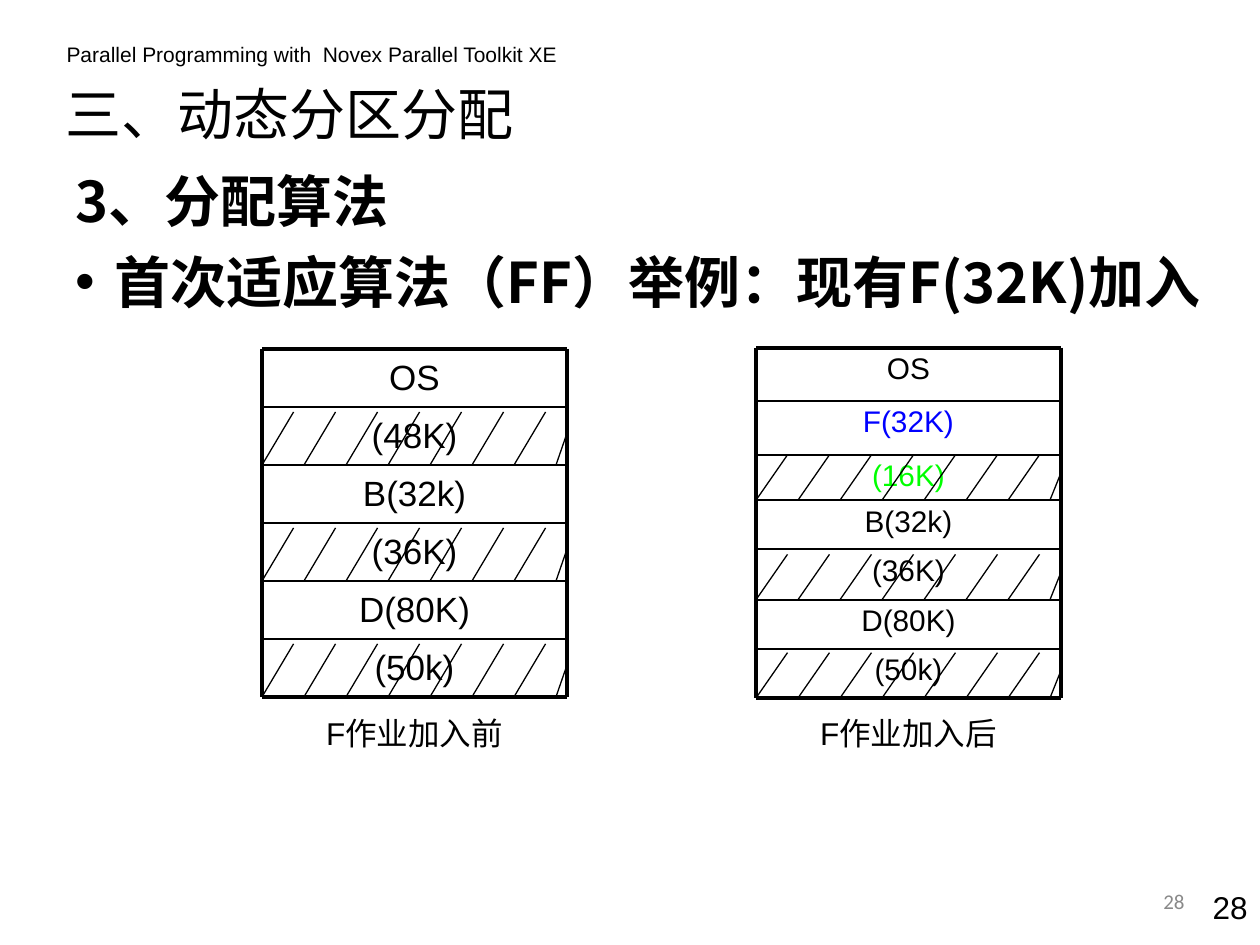
from pptx import Presentation, util as u
from pptx.dml.color import RGBColor
from pptx.enum import shapes, text
from pptx.oxml.ns import qn
from lxml import etree

COLORS = {"ink": "000000", "new": "0000FF", "rest": "00FF00", "number": "898989"}
CJK = "Noto Sans CJK SC"
LEFT, CENTER, RIGHT = text.PP_ALIGN.LEFT, text.PP_ALIGN.CENTER, text.PP_ALIGN.RIGHT

# Content
header = "Parallel Programming with  Novex Parallel Toolkit XE"
title = "三、动态分区分配"
points = ["3、分配算法", "首次适应算法（FF）举例：现有F(32K)加入"]
page = "28"
# Partition rows: label, colour, free space
memory_maps = [
    dict(left=2.08, edges=[2.77, 3.23, 3.69, 4.15, 4.61, 5.07, 5.53], size=20, spacing=None,
         hatch=0.42, caption="F作业加入前", caption_box=(2.08, 2.42),
         rows=[("OS", "ink", False), ("(48K)", "ink", True), ("B(32k)", "ink", False),
               ("(36K)", "ink", True), ("D(80K)", "ink", False), ("(50k)", "ink", True)]),
    dict(left=6, edges=[2.76, 3.18, 3.61, 3.97, 4.36, 4.76, 5.15, 5.54], size=17, spacing=0.9,
         hatch=0.36, caption="F作业加入后", caption_box=(5.67, 3.08),
         rows=[("OS", "ink", False), ("F(32K)", "new", False), ("(16K)", "rest", True),
               ("B(32k)", "ink", False), ("(36K)", "ink", True), ("D(80K)", "ink", False),
               ("(50k)", "ink", True)]),
]
MAP_WIDTH = 2.42
HATCH_STEP, HATCH_SLANT, HATCH_COUNT = 1 / 3, 0.25, 7

prs = Presentation()
prs.slide_width, prs.slide_height = u.Inches(10), u.Inches(7.5)
slide = prs.slides.add_slide(prs.slide_layouts[6])


def add_text(box, lines, size, font="Arial", color="ink", align=LEFT, before=0,
             spacing=None, bold=False, middle=False):
    label = slide.shapes.add_textbox(*(u.Inches(v) for v in box))
    frame = label.text_frame
    frame.word_wrap = True
    frame.text = "\n".join(lines)
    if middle:
        frame.vertical_anchor = text.MSO_ANCHOR.MIDDLE
    for paragraph in frame.paragraphs:
        paragraph.alignment = align
        paragraph.space_before = u.Pt(before)
        if spacing:
            paragraph.line_spacing = spacing
        for run in paragraph.runs:
            run.font.size, run.font.name, run.font.bold = u.Pt(size), font, bold
            run.font.color.rgb = RGBColor.from_string(COLORS[color])
            east_asian = etree.SubElement(run.font._element, qn("a:ea"))
            east_asian.set("typeface", CJK)
    return frame


def add_line(x1, y1, x2, y2, width):
    line = slide.shapes.add_connector(shapes.MSO_CONNECTOR.STRAIGHT,
                                      *(u.Inches(v) for v in (x1, y1, x2, y2)))
    line.line.color.rgb = RGBColor.from_string(COLORS["ink"])
    line.line.width = u.Pt(width)
    etree.SubElement(line._element.spPr, qn("a:effectLst"))


def add_hatching(left, bottom, height):
    for i in range(HATCH_COUNT):
        x = left + i * HATCH_STEP
        add_line(x + HATCH_SLANT, bottom - height, x, bottom, 0.74)
    # Last stroke is cut off by the right edge
    add_line(left + MAP_WIDTH, bottom - 0.6 * height,
             left + HATCH_COUNT * HATCH_STEP, bottom, 0.74)


def add_memory_map(left, edges, size, spacing, hatch, caption, caption_box, rows):
    right = left + MAP_WIDTH
    row_height = edges[-1] - edges[-2]
    for (name, color, free), top, bottom in zip(rows, edges, edges[1:]):
        add_text((left, top, MAP_WIDTH, row_height), [name], size, color=color,
                 align=CENTER, before=5, spacing=spacing)
        if free:
            add_hatching(left, bottom, hatch)
    for y in edges:
        add_line(left, y, right, y, 2.24 if y in (edges[0], edges[-1]) else 0.99)
    for x in (left, right):
        add_line(x, edges[0], x, edges[-1], 2.24)
    caption_left, caption_width = caption_box
    add_text((caption_left, 5.62, caption_width, 0.4), [caption], 18, align=CENTER, before=11.2)


# Headings
add_text((0.43, 0.28, 4.3, 0.3), [header], 12)
add_text((0.42, 0.52, 5.67, 0.75), [title], 32, CJK, middle=True)

# Points: the first has no bullet, both hang
body = add_text((0.5, 1.27, 9.5, 2.58), points, 32, CJK, before=8, bold=True)
for paragraph, bullet in zip(body.paragraphs, (None, "•")):
    props = paragraph._p.get_or_add_pPr()
    props.set("marL", str(u.Inches(0.31)))
    props.set("indent", str(-u.Inches(0.31)))
    if bullet:
        etree.SubElement(props, qn("a:buFont")).set("typeface", "Arial")
        etree.SubElement(props, qn("a:buChar")).set("char", bullet)
    else:
        etree.SubElement(props, qn("a:buNone"))

# Memory before and after the job arrives
for memory_map in memory_maps:
    add_memory_map(**memory_map)

# Page numbers
add_text((9.33, 7, 0.67, 0.4), [page], 18, align=RIGHT, before=11.2)
add_text((7.17, 6.95, 2.33, 0.4), [page], 12, "Calibri", "number", RIGHT, middle=True)

prs.save("out.pptx")
